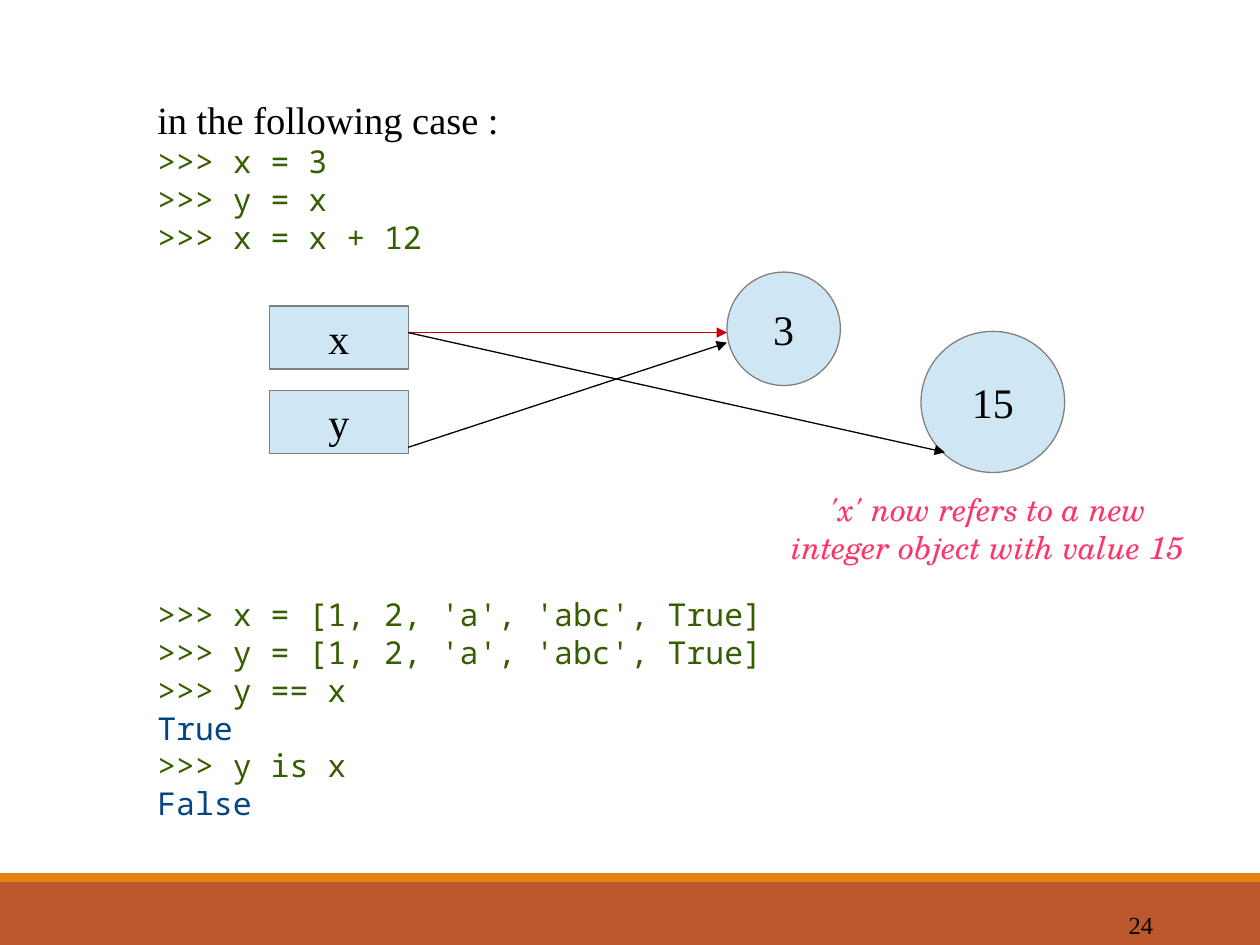
"""Build a slide on how Python names refer to objects."""
from lxml import etree
from pptx import Presentation
from pptx.dml.color import RGBColor
from pptx.enum.shapes import MSO_CONNECTOR, MSO_SHAPE
from pptx.enum.text import MSO_ANCHOR, PP_ALIGN
from pptx.oxml.ns import qn
from pptx.util import Inches, Pt

RECT, OVAL = MSO_SHAPE.RECTANGLE, MSO_SHAPE.OVAL
STRAIGHT = MSO_CONNECTOR.STRAIGHT
MIDDLE = MSO_ANCHOR.MIDDLE
LEFT, CENTER, RIGHT = PP_ALIGN.LEFT, PP_ALIGN.CENTER, PP_ALIGN.RIGHT

BLACK = RGBColor(0x00, 0x00, 0x00)
RUST = RGBColor(0xBD, 0x58, 0x2C)
ORANGE = RGBColor(0xE4, 0x83, 0x12)
GREEN = RGBColor(0x35, 0x5E, 0x00)
BLUE = RGBColor(0x00, 0x45, 0x86)
PALE_BLUE = RGBColor(0xCF, 0xE7, 0xF5)
GRAY = RGBColor(0x80, 0x80, 0x80)
RED = RGBColor(0xC5, 0x00, 0x0B)
PINK = RGBColor(0xFF, 0x33, 0x66)

SERIF, MONO, SCHOLA = "Times New Roman", "Noto Sans Mono", "TeX Gyre Schola"


def add_shape(s, kind, x, y, w, h, fill):
    sp = s.shapes.add_shape(kind, Inches(x), Inches(y), Inches(w), Inches(h))
    sp.shadow.inherit = False
    sp.fill.solid()
    sp.fill.fore_color.rgb = fill
    sp.line.fill.background()
    return sp


def format_text(p, text, font, size, color, align):
    p.text = text
    p.alignment = align
    p.font.name = font
    p.font.size = Pt(size)
    p.font.color.rgb = color


prs = Presentation()
prs.slide_width, prs.slide_height = Inches(10), Inches(7.5)
s = prs.slides.add_slide(prs.slide_layouts[6])

add_shape(s, RECT, 0, 7, 10, 0.5, RUST)
add_shape(s, RECT, 0, 6.93, 10, 0.07, ORANGE)

code_lines = [
    (">>> x = 3", GREEN),
    (">>> y = x", GREEN),
    (">>> x = x + 12", GREEN),
    (">>> x = [1, 2, 'a', 'abc', True]", GREEN),
    (">>> y = [1, 2, 'a', 'abc', True]", GREEN),
    (">>> y == x", GREEN),
    ("True", BLUE),
    (">>> y is x", GREEN),
    ("False", BLUE),
]
tf = s.shapes.add_textbox(Inches(1.15), Inches(0.78), Inches(8.43), Inches(5.8)).text_frame
tf.word_wrap = True
format_text(tf.paragraphs[0], "in the following case :", SERIF, 22, BLACK, LEFT)
for text, color in code_lines:
    format_text(tf.add_paragraph(), text, MONO, 18, color, LEFT)
for p in tf.paragraphs:
    p.line_spacing = Pt(21.6)
tf.paragraphs[4].space_before = Pt(194)

nodes = [
    (RECT, 2.14, 2.43, 1.1, 0.5, "x"),
    (RECT, 2.14, 3.1, 1.1, 0.5, "y"),
    (OVAL, 5.77, 2.16, 0.9, 0.9, "3"),
    (OVAL, 7.31, 2.63, 1.14, 1.12, "15"),
]
for kind, x, y, w, h, label in nodes:
    sp = add_shape(s, kind, x, y, w, h, PALE_BLUE)
    sp.line.color.rgb = GRAY
    sp.line.width = Pt(0.75)
    tf = sp.text_frame
    tf.word_wrap = False
    tf.vertical_anchor = MIDDLE
    format_text(tf.paragraphs[0], label, SERIF, 24, BLACK, CENTER)

arrows = [
    (3.24, 3.55, 5.77, 2.72, BLACK),
    (3.24, 2.64, 5.77, 2.64, RED),
    (3.24, 2.64, 7.5, 3.59, BLACK),
]
for x1, y1, x2, y2, color in arrows:
    arrow = s.shapes.add_connector(STRAIGHT, Inches(x1), Inches(y1), Inches(x2), Inches(y2))
    arrow.line.color.rgb = color
    arrow.line.width = Pt(0.75)
    etree.SubElement(arrow.line._get_or_add_ln(), qn("a:tailEnd"), type="triangle")
    etree.SubElement(arrow._element.spPr, qn("a:effectLst"))

caption = "'x' now refers to a new integer object with value 15"
notes = [
    (6.1, 3.84, 3.48, 0.7, caption, SCHOLA, 18, PINK, CENTER, True),
    (7.17, 7.17, 2.08, 0.5, "24", SERIF, 14, BLACK, RIGHT, False),
]
for x, y, w, h, text, font, size, color, align, italic in notes:
    tf = s.shapes.add_textbox(Inches(x), Inches(y), Inches(w), Inches(h)).text_frame
    tf.word_wrap = True
    p = tf.paragraphs[0]
    format_text(p, text, font, size, color, align)
    p.font.italic = italic

prs.save("out.pptx")
